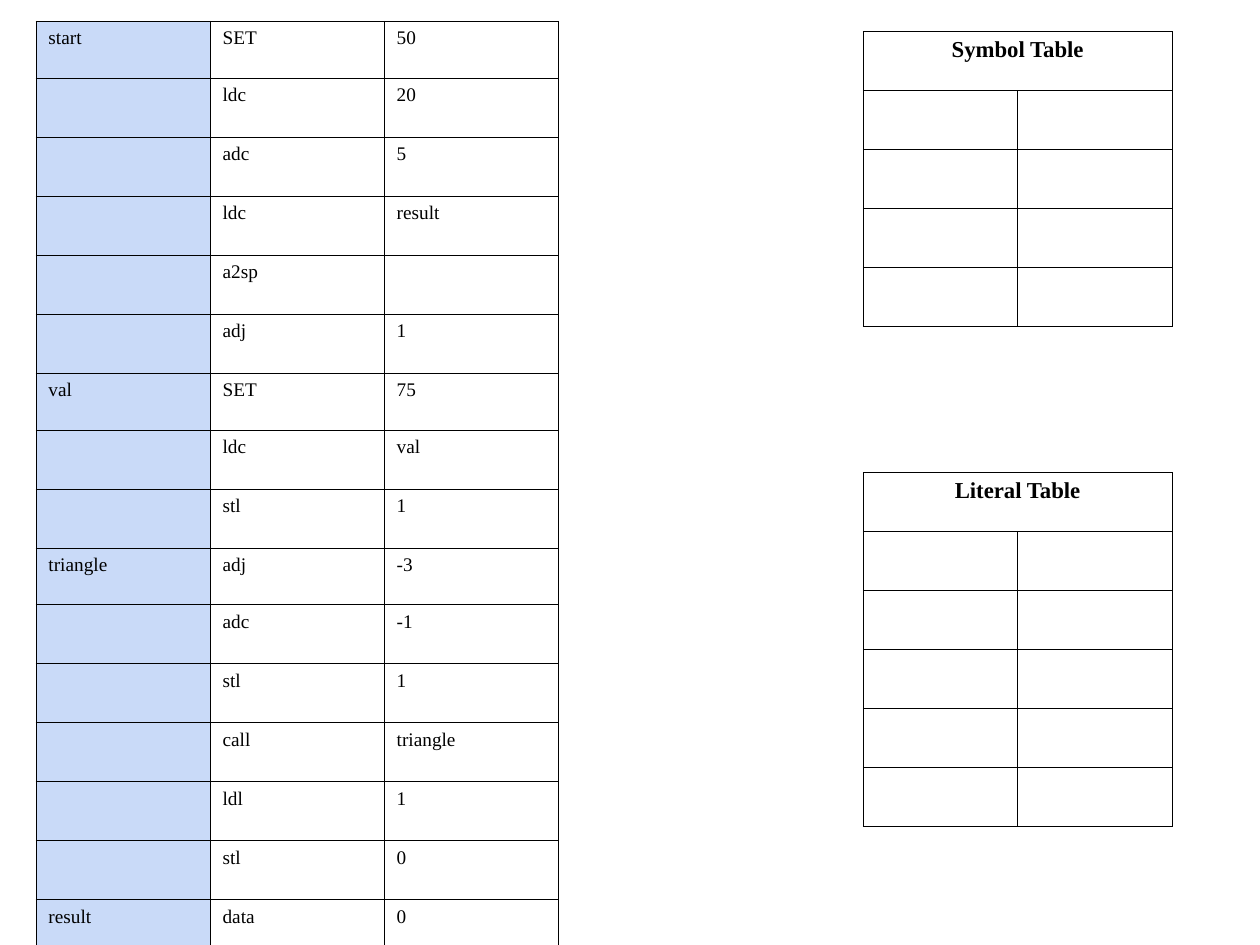
"""Build a slide with an assembly listing and empty symbol and literal tables."""
from lxml import etree
from pptx import Presentation
from pptx.dml.color import RGBColor
from pptx.enum.text import PP_ALIGN
from pptx.oxml.ns import qn
from pptx.util import Pt

CENTER = PP_ALIGN.CENTER
LEFT = PP_ALIGN.LEFT
BLACK = RGBColor(0, 0, 0)
WHITE = RGBColor(255, 255, 255)
LABEL_BLUE = RGBColor(0xC9, 0xDA, 0xF8)
FONT = "Times New Roman"
TEXT_ROW = 32.4
TALL_ROW = 33.75

LISTING = [
    ("start", "SET", "50"),
    ("", "ldc", "20"),
    ("", "adc", "5"),
    ("", "ldc", "result"),
    ("", "a2sp", ""),
    ("", "adj", "1"),
    ("val", "SET", "75"),
    ("", "ldc", "val"),
    ("", "stl", "1"),
    ("triangle", "adj", "-3"),
    ("", "adc", "-1"),
    ("", "stl", "1"),
    ("", "call", "triangle"),
    ("", "ldl", "1"),
    ("", "stl", "0"),
    ("result", "data", "0"),
]


def format_cell(cell, text, size=11, bold=False, align=LEFT, fill=WHITE):
    properties = cell._tc.get_or_add_tcPr()
    for side in ("lnL", "lnR", "lnT", "lnB"):
        line = etree.SubElement(properties, qn(f"a:{side}"), w=str(Pt(0.45)))
        solid = etree.SubElement(line, qn("a:solidFill"))
        etree.SubElement(solid, qn("a:srgbClr"), val=str(BLACK))
    cell.fill.solid()
    cell.fill.fore_color.rgb = fill
    if text:
        para = cell.text_frame.paragraphs[0]
        para.alignment = align
        span = para.add_run()
        span.text = text
        span.font.name = FONT
        span.font.size = Pt(size)
        span.font.bold = bold
        span.font.color.rgb = BLACK


def add_grid(page, left, top, column_width, heights, columns):
    frame = page.shapes.add_table(len(heights), columns, Pt(left), Pt(top),
                                  Pt(column_width * columns), Pt(sum(heights)))
    table = frame.table
    table.first_row = False
    table.horz_banding = False
    for column in table.columns:
        column.width = Pt(column_width)
    for row, height in zip(table.rows, heights):
        row.height = Pt(height)
    return table


deck = Presentation()
deck.slide_width = Pt(720)
deck.slide_height = Pt(540)
page = deck.slides.add_slide(deck.slide_layouts[6])

listing_heights = [TEXT_ROW if all(entry) else TALL_ROW for entry in LISTING]
listing = add_grid(page, 20.5, 12.2, 99.5, listing_heights, 3)
for row, entry in zip(listing.rows, LISTING):
    for cell, text, fill in zip(row.cells, entry, (LABEL_BLUE, WHITE, WHITE)):
        format_cell(cell, text, fill=fill)

for title, top, row_count in (("Symbol Table", 18, 5), ("Literal Table", 270, 6)):
    lookup = add_grid(page, 493.2, top, 88.25, [TALL_ROW] * row_count, 2)
    lookup.cell(0, 0).merge(lookup.cell(0, 1))
    for cell in lookup.iter_cells():
        format_cell(cell, title if cell.is_merge_origin else "",
                    size=13, bold=True, align=CENTER)

deck.save("out.pptx")
